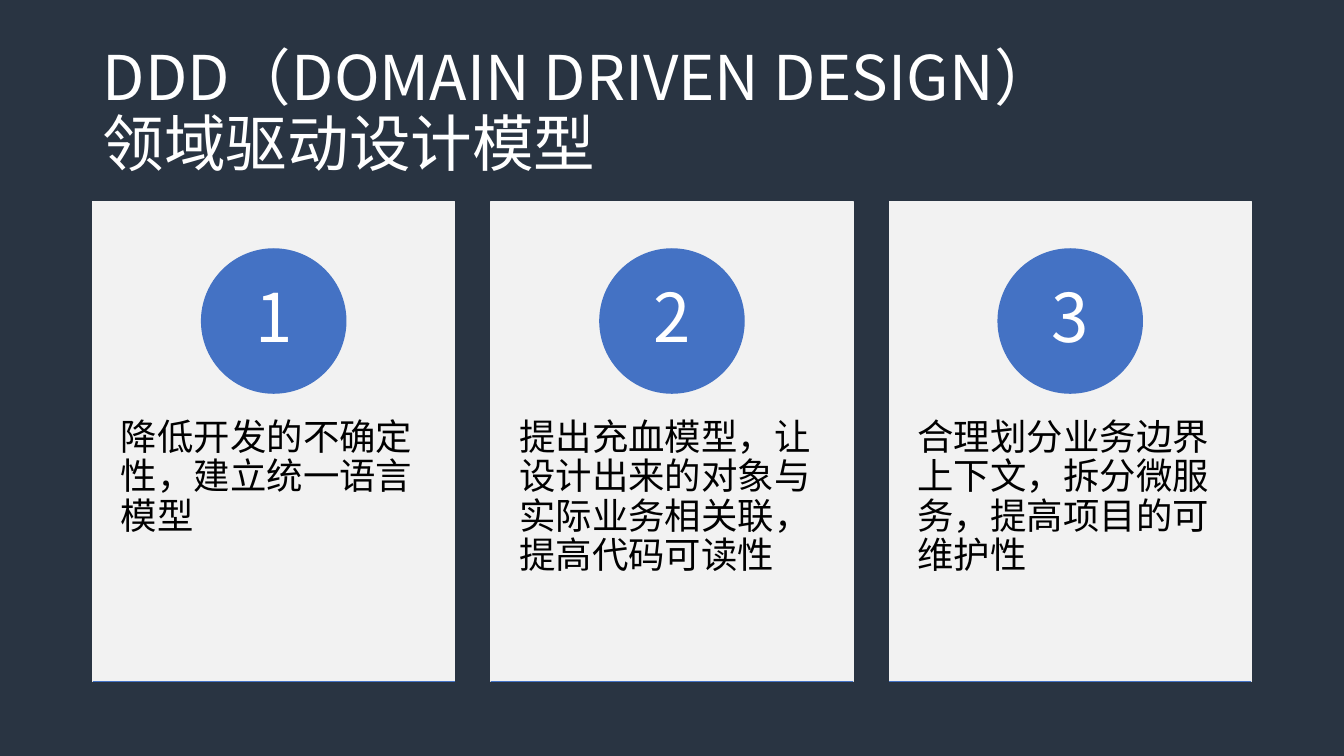
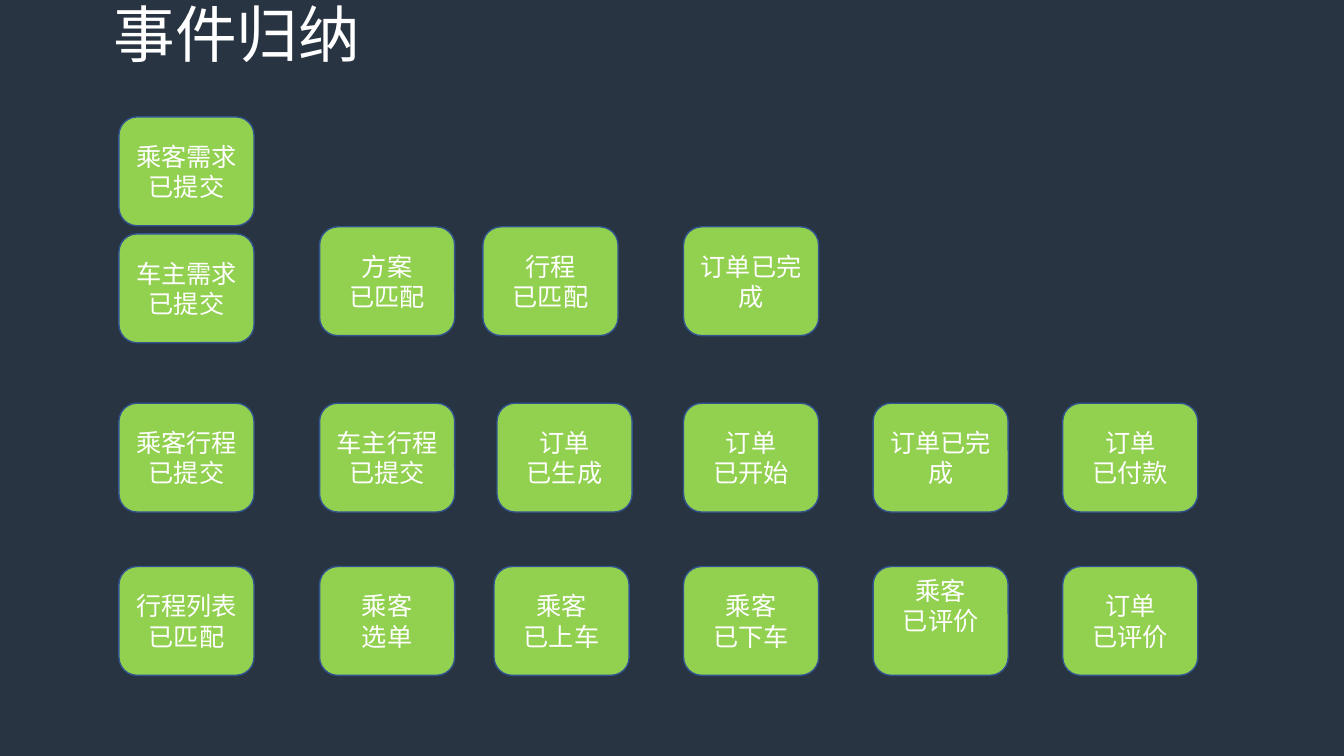
from dataclasses import dataclass
from typing import Any

from lxml import etree
from pptx import Presentation, util as u
from pptx.dml.color import RGBColor
from pptx.enum import shapes as es, text as et
from pptx.oxml.ns import qn
from pptx.slide import Slide


# Shared look
@dataclass(frozen=True)
class Theme:
    font: str = "Noto Sans CJK SC"
    back: str = "293442"
    white: str = "FFFFFF"
    black: str = "000000"
    card: str = "F2F2F2"
    blue: str = "4472C4"
    green: str = "92D050"
    edge: str = "325491"
    title: int = 44
    num: int = 48
    body: int = 26
    event: int = 18
    tight: float = 0.9


@dataclass(frozen=True)
class Box:
    left: float
    top: float
    width: float
    height: float

    def emu(self) -> tuple[u.Length, ...]:
        return tuple(map(u.Inches, (self.left, self.top, self.width, self.height)))


@dataclass(frozen=True)
class Style:
    size: int
    color: str
    align: et.PP_ALIGN = et.PP_ALIGN.CENTER
    anchor: et.MSO_ANCHOR = et.MSO_ANCHOR.MIDDLE
    space: float = 1.0
    inset: tuple[float, float, float, float] = (0.1, 0.05, 0.1, 0.05)


@dataclass(frozen=True)
class Event:
    col: float
    row: float
    text: str
    foot: float = 0.05


T = Theme()
LEFT, MID = et.PP_ALIGN.LEFT, et.MSO_ANCHOR.MIDDLE
KIND = es.MSO_SHAPE

# Card slide: three equal columns
CARD = Box(0.92, 2, 3.59, 4.76)
STEP = 3.95
DISC = 1.43
GOALS = (
    "降低开发的不确定性，建立统一语言模型",
    "提出充血模型，让设计出来的对象与实际业务相关联，提高代码可读性",
    "合理划分业务边界上下文，拆分微服务，提高项目的可维护性",
)

# Event slide: columns and rows
C1, C2, C4, C5, C6 = 1.18, 3.17, 6.78, 8.66, 10.54
MATCH, ORDER, RIDE = 2.25, 4, 5.62
EVENTS = (
    Event(C1, 1.16, "乘客需求已提交"),
    Event(C1, 2.32, "车主需求已提交"),
    Event(C2, MATCH, "方案\n已匹配"),
    Event(4.79, MATCH, "行程\n已匹配"),
    Event(C4, MATCH, "订单已完成"),
    Event(C1, ORDER, "乘客行程已提交"),
    Event(C2, ORDER, "车主行程已提交"),
    Event(4.93, ORDER, "订单\n已生成"),
    Event(C4, ORDER, "订单\n已开始"),
    Event(C5, ORDER, "订单已完成"),
    Event(C6, ORDER, "订单\n已付款"),
    Event(C1, RIDE, "行程列表已匹配"),
    Event(C2, RIDE, "乘客\n选单"),
    Event(4.9, RIDE, "乘客\n已上车"),
    Event(C4, RIDE, "乘客\n已下车"),
    Event(C5, RIDE, "乘客\n已评价", 0.35),
    Event(C6, RIDE, "订单\n已评价"),
)


def rgb(code: str) -> RGBColor:
    return RGBColor.from_string(code)


# Text and shapes
def write(shape: Any, text: str, style: Style) -> None:
    frame = shape.text_frame
    frame.word_wrap = True
    frame.vertical_anchor = style.anchor
    (frame.margin_left, frame.margin_top,
     frame.margin_right, frame.margin_bottom) = map(u.Inches, style.inset)
    for i, line in enumerate(text.split("\n")):
        para = frame.add_paragraph() if i else frame.paragraphs[0]
        para.alignment = style.align
        para.line_spacing = style.space
        run = para.add_run()
        run.text = line
        run.font.size = u.Pt(style.size)
        run.font.name = T.font
        run.font.color.rgb = rgb(style.color)
        etree.SubElement(run.font._element, qn("a:ea"), typeface=T.font)


def shape(pool: Any, kind: es.MSO_SHAPE, box: Box, fill: str, edge: str) -> Any:
    item = pool.add_shape(kind, *box.emu())
    item.shadow.inherit = False
    item.fill.solid()
    item.fill.fore_color.rgb = rgb(fill)
    item.line.color.rgb = rgb(edge)
    item.line.width = u.Pt(1)
    return item


def rule(pool: Any, left: float, top: float, width: float) -> None:
    x, y = u.Inches(left), u.Inches(top)
    line = pool.add_connector(es.MSO_CONNECTOR.STRAIGHT, x, y, x + u.Inches(width), y)
    line.line.color.rgb = rgb(T.blue)
    line.line.width = u.Pt(1)
    etree.SubElement(line._element.spPr, qn("a:effectLst"))


def page(deck: Any, title: str, left: float, top: float) -> Slide:
    slide = deck.slides.add_slide(deck.slide_layouts[6])
    slide.background.fill.solid()
    slide.background.fill.fore_color.rgb = rgb(T.back)
    head = slide.shapes.add_textbox(*Box(left, top, 11.5, 1.45).emu())
    write(head, title, Style(T.title, T.white, LEFT, MID, T.tight))
    return slide


# Cards and events
def card(slide: Slide, i: int, text: str) -> None:
    pool = slide.shapes.add_group_shape().shapes
    left = CARD.left + i * STEP
    panel = shape(pool, KIND.RECTANGLE, Box(left, CARD.top, CARD.width, CARD.height),
                  T.card, T.card)
    write(panel, text, Style(T.body, T.black, LEFT, et.MSO_ANCHOR.TOP, T.tight,
                             (0.28, 2.16, 0.28, 0.36)))
    disc = shape(pool, KIND.OVAL,
                 Box(left + (CARD.width - DISC) / 2, CARD.top + 0.47, DISC, DISC),
                 T.blue, T.blue)
    write(disc, str(i + 1), Style(T.num, T.white, space=T.tight,
                                  inset=(0.11, 0.01, 0.11, 0.01)))
    rule(pool, left, CARD.top + CARD.height, CARD.width)


def event(slide: Slide, item: Event) -> None:
    tile = shape(slide.shapes, KIND.ROUNDED_RECTANGLE,
                 Box(item.col, item.row, 1.34, 1.08), T.green, T.edge)
    write(tile, item.text, Style(T.event, T.white, inset=(0.1, 0.05, 0.1, item.foot)))


def main() -> None:
    deck = Presentation()
    deck.slide_width, deck.slide_height = u.Inches(13.33), u.Inches(7.5)

    model = page(deck, "DDD（DOMAIN DRIVEN DESIGN）\n领域驱动设计模型", 0.92, 0.4)
    for i, goal in enumerate(GOALS):
        card(model, i, goal)

    flow = page(deck, "事件归纳", 1.03, -0.35)
    for item in EVENTS:
        event(flow, item)

    deck.save("out.pptx")


if __name__ == "__main__":
    main()
